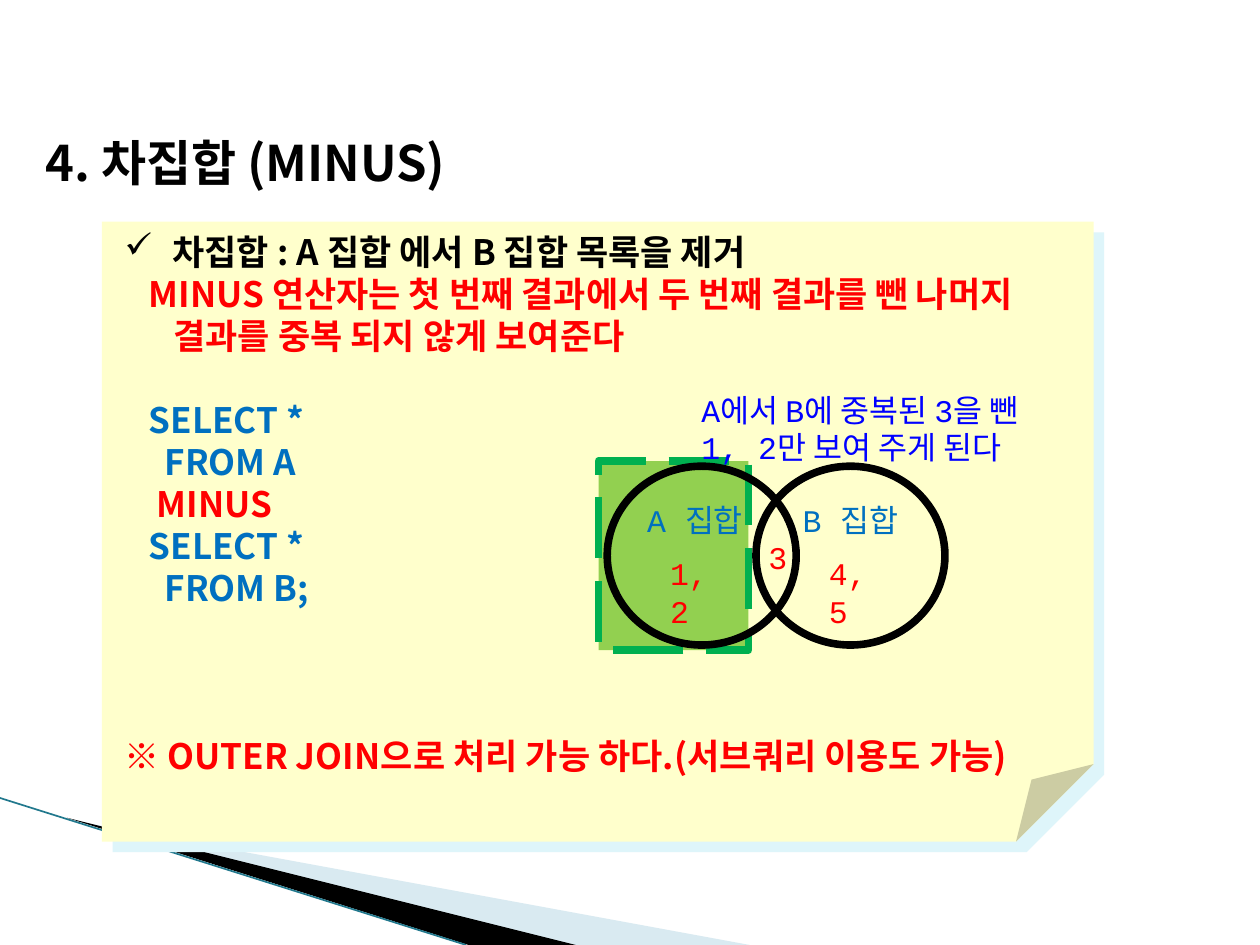
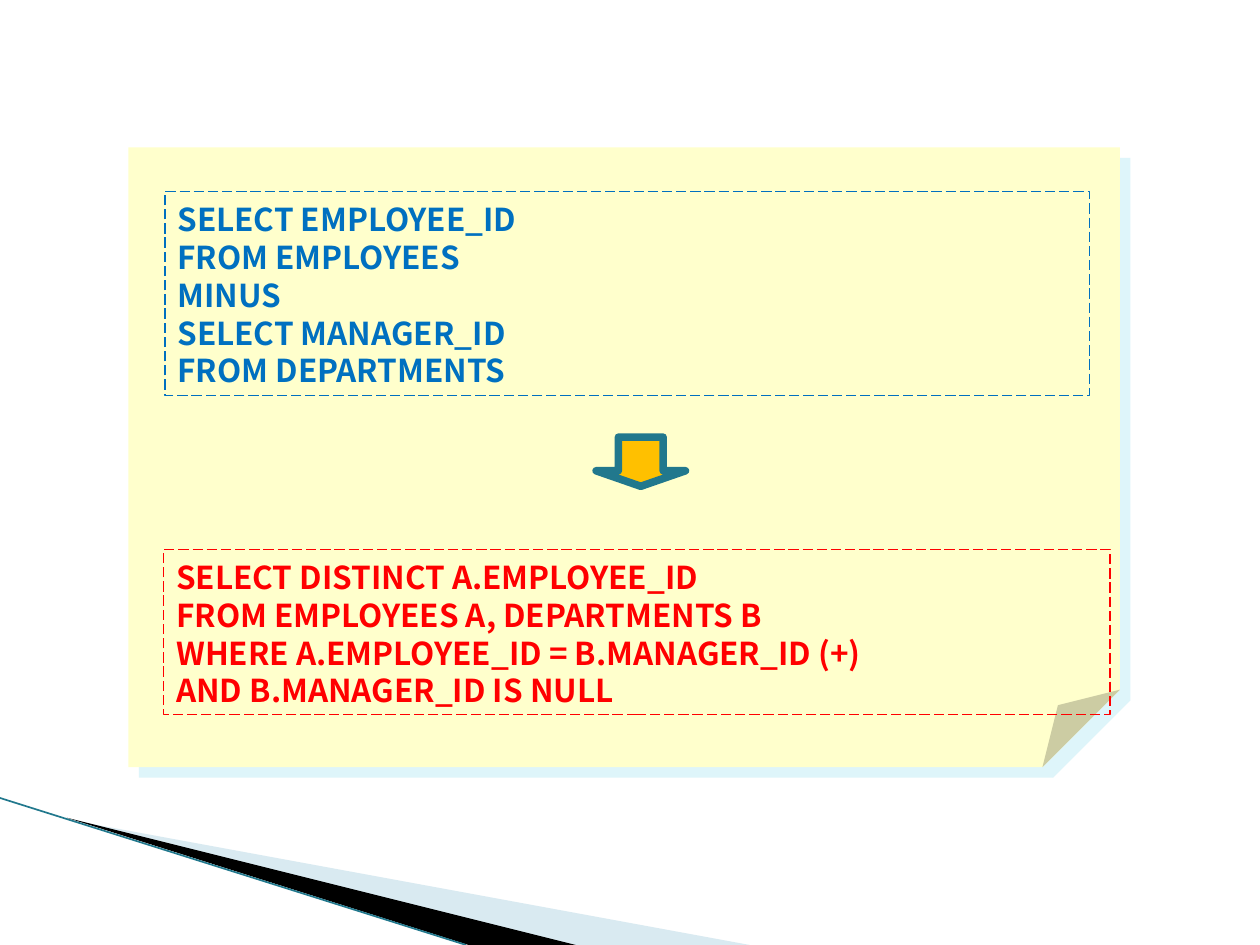
from dataclasses import dataclass
from typing import Optional

from lxml import etree
from pptx import Presentation
from pptx.dml.color import RGBColor
from pptx.enum.dml import MSO_LINE
from pptx.enum.shapes import MSO_CONNECTOR, MSO_SHAPE
from pptx.enum.text import MSO_ANCHOR, PP_ALIGN
from pptx.oxml.ns import qn
from pptx.util import Pt

RECTANGLE, ELLIPSE = MSO_SHAPE.RECTANGLE, MSO_SHAPE.OVAL
NOTE, DOWN_ARROW = MSO_SHAPE.FOLDED_CORNER, MSO_SHAPE.DOWN_ARROW
STRAIGHT, LONG_DASH = MSO_CONNECTOR.STRAIGHT, MSO_LINE.LONG_DASH
LEFT, CENTER = PP_ALIGN.LEFT, PP_ALIGN.CENTER
TOP, MIDDLE = MSO_ANCHOR.TOP, MSO_ANCHOR.MIDDLE


@dataclass(frozen=True)
class Theme:
    black: str = "000000"
    red: str = "FF0000"
    blue: str = "0070C0"
    bright_blue: str = "0000FF"
    note: str = "FFFFCC"
    note_shadow: str = "DEF5FA"
    green: str = "92D050"
    dark_green: str = "00B050"
    gold: str = "FFC000"
    teal: str = "21788D"
    band: str = "A0CBDC"
    sans: str = "Noto Sans CJK KR"
    mono: str = "Courier New"
    title_size: float = 28
    body_size: float = 20
    text_size: float = 18
    line_pitch: float = 1.2
    thick: float = 4.33
    thin: float = 0.75


THEME = Theme()


@dataclass(frozen=True)
class Box:
    left: float
    top: float
    width: float
    height: float

    def lengths(self) -> tuple:
        return Pt(self.left), Pt(self.top), Pt(self.width), Pt(self.height)


@dataclass(frozen=True)
class Line:
    text: str
    color: str
    left: float = 0
    hanging: float = 0
    before: float = 0
    bullet: str = ""


@dataclass(frozen=True)
class TextBlock:
    box: Box
    lines: tuple
    color: str


@dataclass(frozen=True)
class Circle:
    box: Box
    name: str
    align: PP_ALIGN


@dataclass(frozen=True)
class Band:
    points: tuple
    color: str
    opacity: int


BANDS = (
    Band(((39.6, 468.5), (428.4, 540), (328.3, 540)), THEME.band, 40),
    Band(((38.2, 467.3), (329, 540), (267.8, 540)), THEME.black, 100),
)

CODE_LEFT = 13.8
BLANK = THEME.body_size * THEME.line_pitch
EXPLANATION = (
    Line("차집합 : A 집합 에서 B 집합 목록을 제거", THEME.black, 27.4, 27.4, bullet="✓"),
    Line("MINUS 연산자는 첫 번째 결과에서 두 번째 결과를 뺀 나머지 결과를 중복 되지 않게 보여준다",
         THEME.red, 28, 28 - CODE_LEFT),
    Line("SELECT *", THEME.blue, CODE_LEFT, before=BLANK),
    Line("  FROM A", THEME.blue, CODE_LEFT),
    Line(" MINUS", THEME.red, CODE_LEFT),
    Line("SELECT *", THEME.blue, CODE_LEFT),
    Line("  FROM B;", THEME.blue, CODE_LEFT),
    Line("※ OUTER JOIN으로 처리 가능 하다.(서브쿼리 이용도 가능)", THEME.red, before=3 * BLANK),
)

CIRCLES = (
    Circle(Box(347, 266.4, 108, 102.2), "A 집합", LEFT),
    Circle(Box(432, 266.4, 108, 102.2), "B 집합", CENTER),
)

LABELS = (
    TextBlock(Box(375.8, 311.8, 44.6, 28.8), ("1, 2",), THEME.red),
    TextBlock(Box(466.6, 311.8, 44.6, 28.8), ("4, 5",), THEME.red),
    TextBlock(Box(432, 302.4, 26, 28.8), ("3",), THEME.red),
    TextBlock(Box(393.8, 218.2, 275.8, 51),
              ("A에서 B에 중복된 3을 뺀", "1, 2만 보여 주게 된다"), THEME.bright_blue),
)

QUERIES = (
    TextBlock(Box(93.6, 313.9, 540.7, 94.3),
              ("SELECT DISTINCT A.EMPLOYEE_ID", "FROM EMPLOYEES A, DEPARTMENTS B",
               "WHERE A.EMPLOYEE_ID = B.MANAGER_ID (+)", "AND B.MANAGER_ID IS NULL"),
              THEME.red),
    TextBlock(Box(94.3, 109.4, 528.5, 116.6),
              ("SELECT EMPLOYEE_ID", "FROM EMPLOYEES", "MINUS", "SELECT MANAGER_ID",
               "FROM DEPARTMENTS"), THEME.blue),
)


def rgb(color: str) -> RGBColor:
    return RGBColor.from_string(color)


def write(shape, lines, *, size: float, font: str = THEME.sans, bold: bool = False,
          align: PP_ALIGN = LEFT, anchor: MSO_ANCHOR = TOP, inset_top: float = 5,
          fixed_pitch: bool = True) -> None:
    """Fill a shape with lines that share one text format."""
    frame = shape.text_frame
    frame.word_wrap = True
    frame.vertical_anchor = anchor
    frame.margin_left = frame.margin_right = Pt(7.2)
    frame.margin_top, frame.margin_bottom = Pt(inset_top), Pt(3.6)
    for index, line in enumerate(lines):
        para = frame.add_paragraph() if index else frame.paragraphs[0]
        properties = para._p.get_or_add_pPr()
        properties.set("marL", str(Pt(line.left)))
        properties.set("indent", str(-Pt(line.hanging)))
        if line.bullet:
            etree.SubElement(properties, qn("a:buChar"), char=line.bullet)
        else:
            etree.SubElement(properties, qn("a:buNone"))
        para.alignment = align
        para.space_before, para.space_after = Pt(line.before), Pt(0)
        if fixed_pitch:
            para.line_spacing = Pt(size * THEME.line_pitch)
        span = para.add_run()
        span.text = line.text
        span.font.size, span.font.bold, span.font.name = Pt(size), bold, font
        span.font.color.rgb = rgb(line.color)
        etree.SubElement(span._r.get_or_add_rPr(), qn("a:ea"), typeface=THEME.sans)


def style(shape, fill: Optional[str] = None, outline: Optional[str] = None,
          weight: float = THEME.thin, dash: Optional[MSO_LINE] = None) -> None:
    shape.shadow.inherit = False
    if fill:
        shape.fill.solid()
        shape.fill.fore_color.rgb = rgb(fill)
    else:
        shape.fill.background()
    if outline:
        shape.line.color.rgb = rgb(outline)
        shape.line.width = Pt(weight)
        if dash:
            shape.line.dash_style = dash
    else:
        shape.line.fill.background()


def add_shape(page, kind: MSO_SHAPE, box: Box, **look):
    shape = page.shapes.add_shape(kind, *box.lengths())
    style(shape, **look)
    return shape


def add_bands(page) -> None:
    for band in BANDS:
        start, *rest = [(Pt(x), Pt(y)) for x, y in band.points]
        builder = page.shapes.build_freeform(*start)
        builder.add_line_segments(rest)
        shape = builder.convert_to_shape()
        style(shape, fill=band.color)
        if band.opacity < 100:
            color = shape._element.spPr.find(qn("a:solidFill"))[0]
            etree.SubElement(color, qn("a:alpha"), val=str(band.opacity * 1000))
    edge = page.shapes.add_connector(STRAIGHT, Pt(0), Pt(456), Pt(266.4), Pt(540))
    edge.line.color.rgb = rgb(THEME.teal)
    edge.line.width = Pt(0.95)
    etree.SubElement(edge._element.spPr, qn("a:effectLst"))


def add_note(page, left: float, top: float) -> None:
    note = add_shape(page, NOTE, Box(left, top, 566.6, 354.2), fill=THEME.note)
    properties = note._element.spPr
    # Fold size, which this preset does not offer as an adjustment
    geometry = properties.find(qn("a:prstGeom"))
    for values in geometry.findall(qn("a:avLst")):
        geometry.remove(values)
    values = etree.SubElement(geometry, qn("a:avLst"))
    etree.SubElement(values, qn("a:gd"), name="adj", fmla="val 12500")
    # Hard shadow to the lower right
    effects = properties.find(qn("a:effectLst"))
    shadow = etree.SubElement(effects, qn("a:outerShdw"), blurRad="0", dist=str(Pt(8.5)),
                              dir=str(45 * 60000), algn="ctr", rotWithShape="0")
    etree.SubElement(shadow, qn("a:srgbClr"), val=THEME.note_shadow)


def add_text(page, box: Box, lines, **text_format) -> None:
    write(page.shapes.add_textbox(*box.lengths()), lines, **text_format)


def build_minus_page(deck) -> None:
    page = deck.slides.add_slide(deck.slide_layouts[5])
    add_bands(page)
    add_note(page, 58.3, 126.7)
    add_text(page, Box(64.1, 126.7, 566.6, 322.6), EXPLANATION,
             size=THEME.body_size, bold=True)

    # Highlighted part of set A
    add_shape(page, RECTANGLE, Box(342, 263.5, 85.7, 108), fill=THEME.green,
              outline=THEME.dark_green, weight=THEME.thick, dash=LONG_DASH)

    # Title
    title = page.shapes.title
    title.left, title.top, title.width, title.height = Box(18.7, 59, 682.6, 67).lengths()
    write(title, [Line("4. 차집합 (MINUS)", THEME.black)], size=THEME.title_size, bold=True,
          anchor=MIDDLE, inset_top=3.6, fixed_pitch=False)

    # Overlapping sets and their members
    for circle in CIRCLES:
        shape = add_shape(page, ELLIPSE, circle.box, outline=THEME.black, weight=THEME.thick)
        write(shape, [Line(circle.name, THEME.blue)], size=THEME.text_size,
              font=THEME.mono, align=circle.align)
    for label in LABELS:
        add_text(page, label.box, [Line(text, label.color) for text in label.lines],
                 size=THEME.text_size, font=THEME.mono)


def build_rewrite_page(deck) -> None:
    page = deck.slides.add_slide(deck.slide_layouts[6])
    add_bands(page)
    add_note(page, 73.4, 84.2)

    # The MINUS query and its outer join form
    for query in QUERIES:
        shape = add_shape(page, RECTANGLE, query.box, outline=query.color, dash=LONG_DASH)
        write(shape, [Line(text, query.color) for text in query.lines],
              size=THEME.text_size, bold=True)
    arrow = add_shape(page, DOWN_ARROW, Box(340.6, 249.8, 51.1, 28.1), fill=THEME.gold,
                      outline=THEME.teal, weight=THEME.thick)
    arrow.adjustments[0], arrow.adjustments[1] = 0.5, 0.315


def main() -> None:
    deck = Presentation()
    deck.slide_width, deck.slide_height = Pt(720), Pt(540)
    build_minus_page(deck)
    build_rewrite_page(deck)
    deck.save("out.pptx")


if __name__ == "__main__":
    main()
